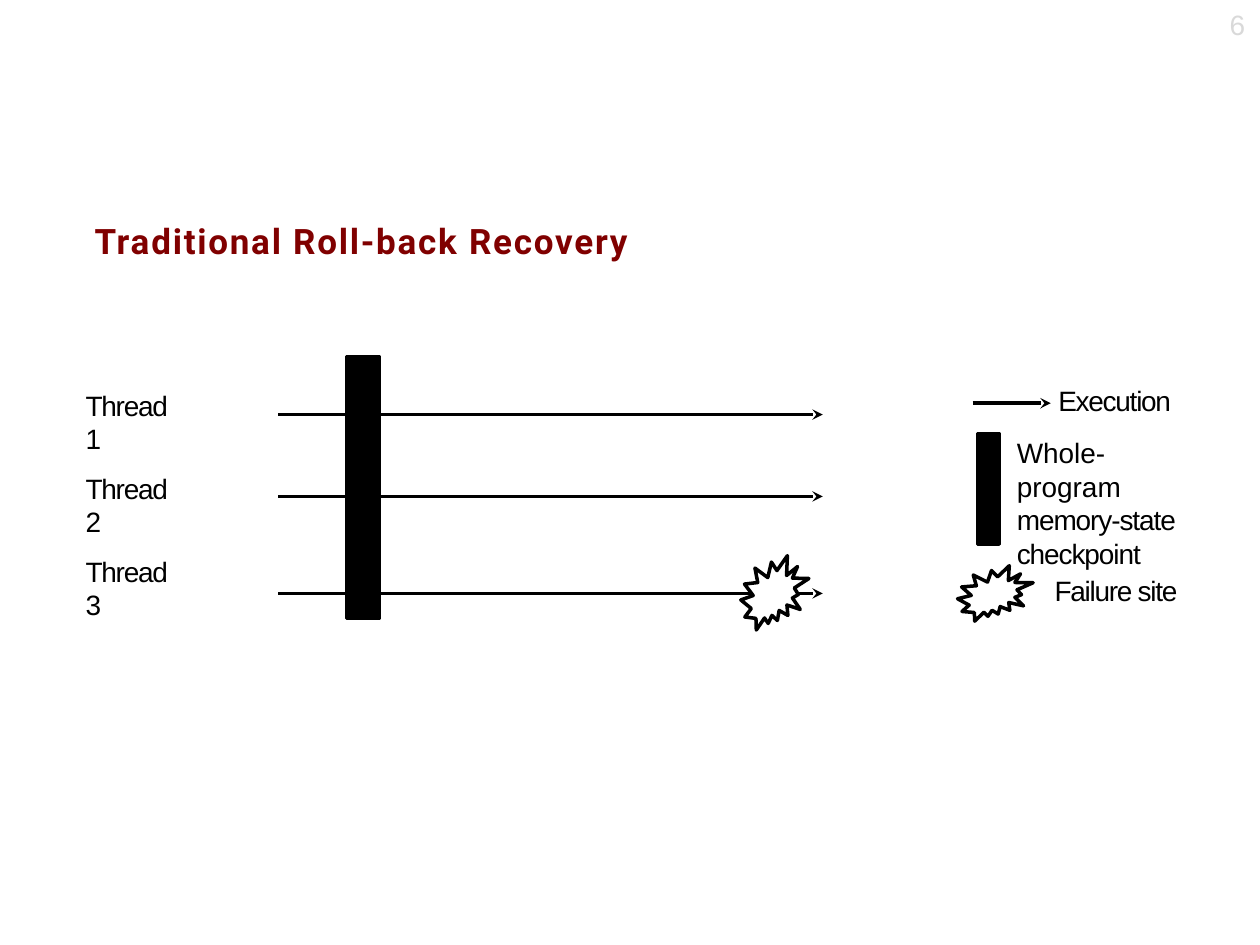
from pptx import Presentation
from pptx.dml.color import RGBColor
from pptx.enum.shapes import MSO_CONNECTOR as Line, MSO_SHAPE as Kind
from pptx.oxml.ns import qn
from pptx.util import Inches, Pt
from lxml.etree import SubElement

BLACK = "000000"
WHITE = "FFFFFF"


def color(code):
    return RGBColor.from_string(code)


def style(run, font="Arial", size=16, ink=BLACK, bold=False, gap=0):
    """Format a run; gap is the letter spacing in points."""
    run.font.name = font
    run.font.size = Pt(size)
    run.font.bold = bold
    run.font.color.rgb = color(ink)
    run.font._element.set("spc", str(round(gap * 100)))


def text(slide, box, *paras, top=0.03, wrap=True, **look):
    """Add a text box; a paragraph is a string or a list of (string, gap)."""
    frame = slide.shapes.add_textbox(*map(Inches, box)).text_frame
    frame.word_wrap = wrap
    frame.margin_left = frame.margin_right = frame.margin_bottom = 0
    frame.margin_top = Inches(top)
    for i, runs in enumerate(paras):
        para = frame.add_paragraph() if i else frame.paragraphs[0]
        if isinstance(runs, str):
            runs = [(runs, look.get("gap", 0))]
        for words, gap in runs:
            run = para.add_run()
            run.text = words
            style(run, **{**look, "gap": gap})
    return frame


def shape(slide, kind, box, fill=None):
    item = slide.shapes.add_shape(kind, *map(Inches, box))
    item.shadow.inherit = False
    item.line.color.rgb = color(BLACK)
    item.line.width = Pt(2)
    if fill:
        item.fill.solid()
        item.fill.fore_color.rgb = color(fill)
    else:
        item.fill.background()


def arrow(slide, left, right, y):
    item = slide.shapes.add_connector(
        Line.STRAIGHT, Inches(left), Inches(y), Inches(right), Inches(y))
    item.line.color.rgb = color(BLACK)
    item.line.width = Pt(2)
    SubElement(item.line._get_or_add_ln(), qn("a:tailEnd"), type="stealth")
    SubElement(item._element.spPr, qn("a:effectLst"))


def threads(slide):
    shape(slide, Kind.RECTANGLE, (2.75, 2.83, 0.26, 2.08), BLACK)
    rows = [(3.05, 3.29), (3.71, 3.94), (4.37, 4.71)]
    for i, (top, y) in enumerate(rows, 1):
        text(slide, (0.68, top, 0.75, 0.55), f"Thread {i}", gap=-0.7)
        arrow(slide, 2.21, 6.53, y)
    shape(slide, Kind.EXPLOSION2, (5.88, 4.41, 0.54, 0.59), WHITE)


def legend(slide):
    arrow(slide, 7.72, 8.34, 3.2)
    shape(slide, Kind.RECTANGLE, (7.76, 3.44, 0.17, 0.88), BLACK)
    shape(slide, Kind.EXPLOSION2, (7.6, 4.49, 0.6, 0.44))
    frame = text(slide, (8.07, 2.87, 1.48, 1.65), "Execution",
                 [("Whole-program", 0), (" memory-state checkpoint", -0.6)],
                 top=0.17, gap=-0.7)
    first, second = frame.paragraphs
    first._p.get_or_add_pPr().set("indent", str(Inches(0.33)))
    second.space_before = Pt(10.8)
    text(slide, (8.37, 4.52, 1.01, 0.3), "Failure site", wrap=False, gap=-0.7)


def main():
    deck = Presentation()
    deck.slide_width, deck.slide_height = Inches(10), Inches(7.5)
    slide = deck.slides.add_slide(deck.slide_layouts[6])
    text(slide, (9.76, 0.03, 0.14, 0.3), "6", wrap=False, ink="D9D9D9")
    text(slide, (0.75, 1.71, 4.42, 0.36), "Traditional Roll-back Recovery",
         font="Roboto", size=20, ink="800000", bold=True, gap=1)
    threads(slide)
    legend(slide)
    deck.save("out.pptx")


if __name__ == "__main__":
    main()
